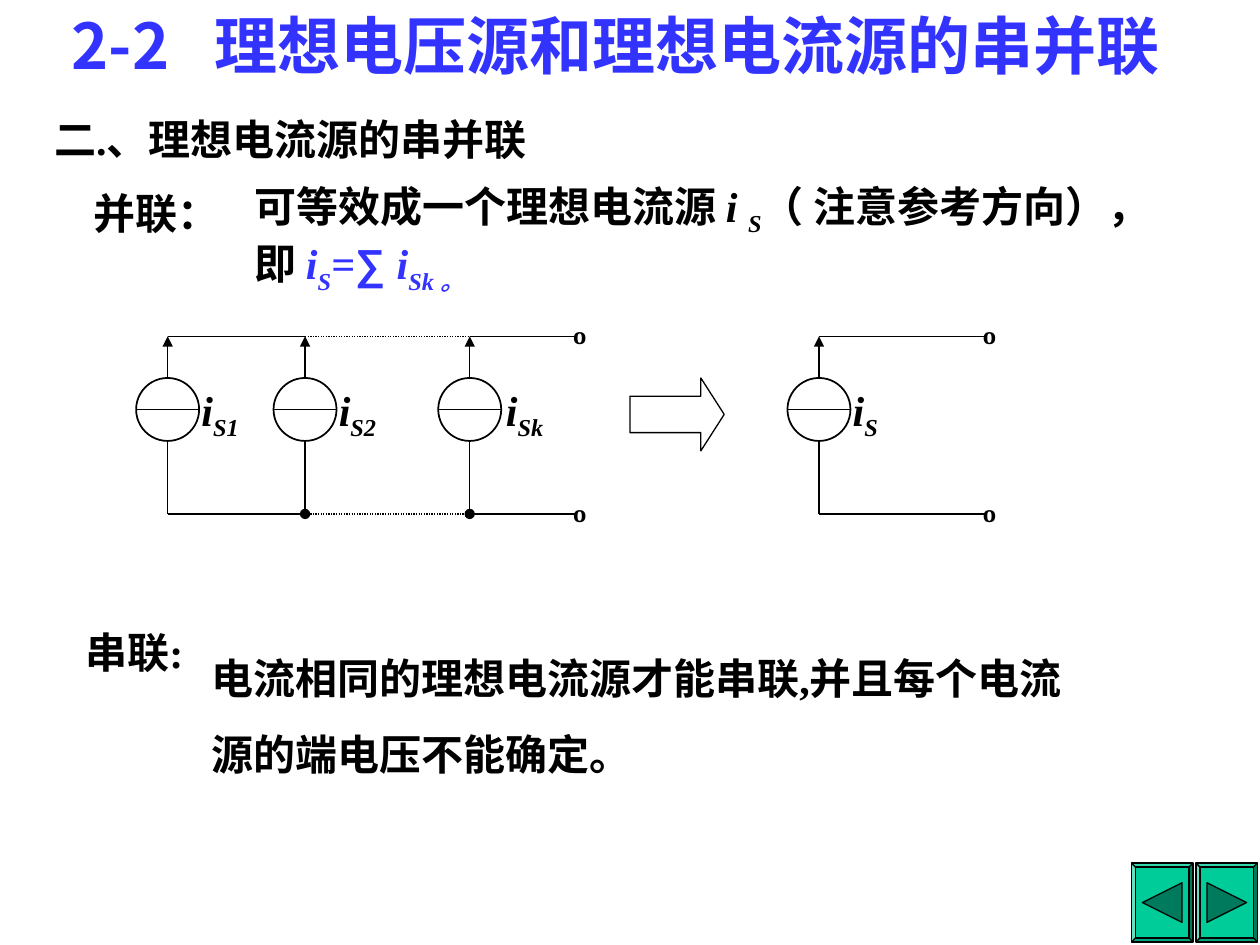
from dataclasses import dataclass
from lxml.etree import SubElement
from pptx import Presentation
from pptx.dml.color import RGBColor
from pptx.enum.dml import MSO_LINE
from pptx.enum.shapes import MSO_CONNECTOR, MSO_SHAPE
from pptx.enum.text import MSO_ANCHOR, MSO_AUTO_SIZE, PP_ALIGN
from pptx.oxml.ns import qn
from pptx.util import Cm, Pt


@dataclass(frozen=True)
class Theme:
    ink: RGBColor = RGBColor(0, 0, 0)
    blue: RGBColor = RGBColor(0x33, 0x33, 0xFF)
    green: RGBColor = RGBColor(0, 0xCC, 0x99)
    dark: RGBColor = RGBColor(0, 0x7A, 0x5C)
    serif: str = "Times New Roman"
    sans: str = "Arial"
    han: str = "Noto Sans CJK SC"
    head: int = 36
    body: int = 24
    thin: float = 0.75
    ring: float = 1


T = Theme()
SUB = {"ital": True, "base": -25000}


def write(frame, *parts, size=T.body, font=T.serif, color=T.ink, wrap=True,
          align=PP_ALIGN.LEFT, anchor=MSO_ANCHOR.TOP, space=1, tab=None):
    frame.auto_size = MSO_AUTO_SIZE.NONE
    frame.word_wrap = wrap
    frame.vertical_anchor = anchor
    para = frame.paragraphs[0]
    para.alignment = align
    para.line_spacing = space
    if tab:
        stops = SubElement(para._p.get_or_add_pPr(), qn("a:tabLst"))
        SubElement(stops, qn("a:tab"), pos=str(Cm(tab)), algn="l")
    for part in parts:
        words, form = (part, {}) if isinstance(part, str) else part
        run = para.add_run()
        run.text = words
        run.font.size = Pt(size)
        run.font.bold = True
        run.font.italic = form.get("ital", False)
        run.font.name = form.get("font", font)
        run.font.color.rgb = form.get("color", color)
        props = run._r.get_or_add_rPr()
        SubElement(props, qn("a:ea"), typeface=T.han)
        if "base" in form:
            props.set("baseline", str(form["base"]))


def label(shapes, x, y, w, h, *parts, **form):
    box = shapes.add_textbox(Cm(x), Cm(y), Cm(w), Cm(h))
    write(box.text_frame, *parts, **form)


def line(shapes, x1, y1, x2, y2, tail=None, dash=None):
    wire = shapes.add_connector(MSO_CONNECTOR.STRAIGHT, Cm(x1), Cm(y1), Cm(x2), Cm(y2))
    wire.line.color.rgb = T.ink
    wire.line.width = Pt(T.thin)
    if dash:
        wire.line.dash_style = dash
    if tail:
        SubElement(wire.line._get_or_add_ln(), qn("a:tailEnd"), type=tail)
    SubElement(wire._element.spPr, qn("a:effectLst"))


def shape(shapes, kind, x, y, w, h, fill=None, width=T.thin):
    item = shapes.add_shape(kind, Cm(x), Cm(y), Cm(w), Cm(h))
    item.shadow.inherit = False
    if fill is None:
        item.fill.background()
    else:
        item.fill.solid()
        item.fill.fore_color.rgb = fill
    item.line.color.rgb = T.ink
    item.line.width = Pt(width)
    return item


def source(shapes, x, top, low, name, shift, dot):
    rad, lead = 0.635, 0.84
    mid = top + lead + rad
    shape(shapes, MSO_SHAPE.OVAL, x - rad, top + lead, 2 * rad, 2 * rad, width=T.ring)
    line(shapes, x - rad, mid, x + rad, mid)
    line(shapes, x, mid + rad, x, low, tail="oval" if dot else None)
    line(shapes, x, top + lead, x, top, tail="triangle")
    label(shapes, x + shift, top + lead, 1.8, 1.42, ("i", {"ital": True}), (name, SUB))


def circuit(shapes, x, y, w, h, items):
    spots = [x + step for step, _, _ in items]
    for num, (spot, (_, name, shift)) in enumerate(zip(spots, items)):
        source(shapes, spot, y, y + h, name, shift, num > 0)
    ends = spots + [x + w]
    for rail in (y, y + h):
        for num, (left, right) in enumerate(zip(ends, ends[1:])):
            line(shapes, left, rail, right, rail,
                 dash=MSO_LINE.ROUND_DOT if num == 1 else None)
        label(shapes, x + w - 0.19, rail - 0.48, 0.5, 1.27, "º",
              align=PP_ALIGN.CENTER, anchor=MSO_ANCHOR.MIDDLE)


def figure(slide, x, y):
    shapes = slide.shapes.add_group_shape().shapes
    circuit(shapes, x, y, 8.25, 3.58,
            [(0, "S1", 0.43), (2.77, "S2", 0.43), (6.09, "Sk", 0.48)])
    arrow = shape(shapes, MSO_SHAPE.RIGHT_ARROW, x + 9.32, y + 0.84, 1.9, 1.47)
    arrow.adjustments[1] = 0.32
    circuit(shapes, x + 13.13, y, 3.38, 3.58, [(0, "S", 0.43)])


def title(slide, x, y, w, h):
    head = slide.shapes.title
    head.left, head.top, head.width, head.height = Cm(x), Cm(y), Cm(w), Cm(h)
    write(head.text_frame, "2-2\t理想电压源和理想电流源的串并联",
          size=T.head, font=T.han, color=T.blue, tab=2.87)


def rules(slide, x, y):
    shapes = slide.shapes
    blue = {"color": T.blue}
    var, sub = {"ital": True, **blue}, {**SUB, **blue}
    label(shapes, x, y, 10.8, 1.27, "二.、理想电流源的串并联")
    label(shapes, x + 0.79, y + 1.5, 3.05, 1.27, "并联：", wrap=False)
    label(shapes, x + 4.04, y + 1.35, 18.21, 2.57,
          "可等效成一个理想电流源 ", ("i ", {"ital": True}), ("S", SUB),
          "（ 注意参考方向），即 ", ("i", var), ("S", sub), ("=", var),
          ("∑ ", {"font": T.sans, **blue}), ("i", var), ("Sk 。", sub))
    label(shapes, x + 0.63, y + 10.34, 2.7, 1.27, "串联:", wrap=False)
    label(shapes, x + 3.17, y + 10.36, 17.98, 3.3,
          "电流相同的理想电流源才能串联,并且每个电流源的端电压不能确定。", space=1.5)


def buttons(slide, x, y, w, h):
    side = 0.8
    for num, turn in enumerate((-90, 90)):
        left = x + num * 1.3
        key = shape(slide.shapes, MSO_SHAPE.BEVEL, left, y, w, h, T.green)
        key.adjustments[0] = 0.065
        mark = shape(slide.shapes, MSO_SHAPE.ISOSCELES_TRIANGLE, left + (w - side) / 2,
                     y + (h - side) / 2, side, side, T.dark)
        mark.rotation = turn


def main():
    deck = Presentation()
    deck.slide_width, deck.slide_height = Cm(25.4), Cm(19.05)
    slide = deck.slides.add_slide(deck.slide_layouts[5])
    buttons(slide, 22.81, 17.4, 1.24, 1.59)
    rules(slide, 0.84, 2.16)
    figure(slide, 3.38, 6.78)
    title(slide, 1.19, 0, 23.04, 1.78)
    deck.save("out.pptx")


if __name__ == "__main__":
    main()
